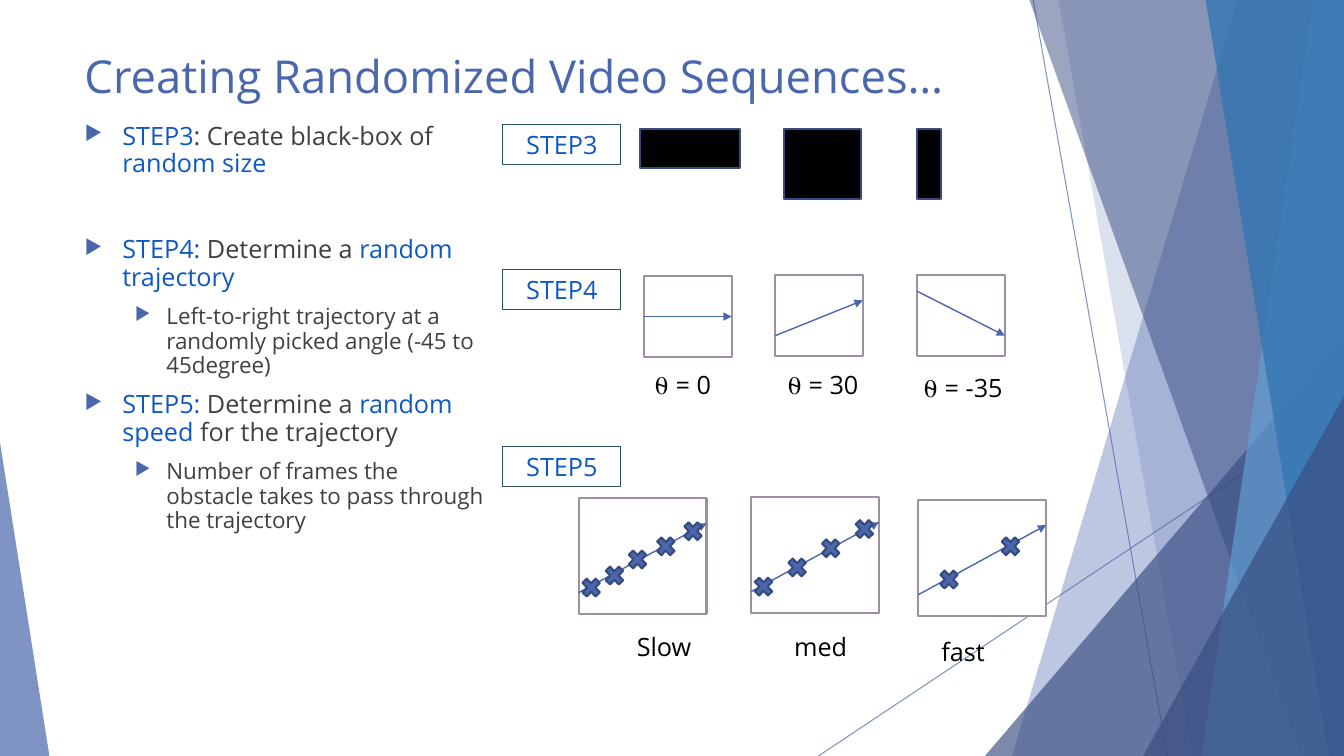
import pptx
import pptx.util
import pptx.dml.color
import pptx.enum.shapes
import pptx.enum.text
import pptx.oxml.ns
import lxml.etree

Pt = pptx.util.Pt
SHAPE = pptx.enum.shapes.MSO_SHAPE
ALIGN = pptx.enum.text.PP_ALIGN
FONT = "Open Sans"
COLORS = {
    "black": "000000", "white": "FFFFFF", "text": "404040", "accent": "0E58C4",
    "blue": "4A66AC", "navy": "384C81", "edge": "374B7F", "sky": "629DD1",
    "ocean": "3477B2", "frame": "9D90A0", "teal": "2B5259",
}
FRAME = (62.6, 57.6)
PANEL = (91.4, 82.8)


def rgb(name):
    return pptx.dml.color.RGBColor.from_string(COLORS[name])


def add_element(parent, tag, **attributes):
    element = lxml.etree.SubElement(parent, pptx.oxml.ns.qn(tag))
    for key, value in attributes.items():
        element.set(key, str(value))
    return element


def set_opacity(fill_parent, percent):
    color = next(fill_parent.iter(pptx.oxml.ns.qn("a:srgbClr")))
    add_element(color, "a:alpha", val=percent * 1000)


def style_shape(shape, fill=None, line=None, weight=1.5, opacity=100):
    shape.shadow.inherit = False
    if fill:
        shape.fill.solid()
        shape.fill.fore_color.rgb = rgb(fill)
        if opacity < 100:
            set_opacity(shape.element.spPr, opacity)
    else:
        shape.fill.background()
    if line:
        shape.line.color.rgb = rgb(line)
        shape.line.width = Pt(weight)
    else:
        shape.line.fill.background()


def add_preset(page, kind, left, top, width, height, **style):
    shape = page.shapes.add_shape(kind, Pt(left), Pt(top), Pt(width), Pt(height))
    style_shape(shape, **style)
    return shape


def add_triangle(page, left, top, width, height, apex, color, opacity):
    triangle = add_preset(page, SHAPE.ISOSCELES_TRIANGLE, left, top, width, height,
                          fill=color, opacity=opacity)
    triangle.adjustments[0] = apex


def add_band(page, top_left, bottom_left, color, opacity):
    builder = page.shapes.build_freeform(Pt(top_left), Pt(-0.6), scale=1)
    corners = [(960, -0.6), (960, 540), (bottom_left, 540)]
    builder.add_line_segments([(Pt(x), Pt(y)) for x, y in corners], close=True)
    style_shape(builder.convert_to_shape(), fill=color, opacity=opacity)


def add_line(page, x1, y1, x2, y2, weight=1, arrow=True, opacity=100):
    line = page.shapes.add_connector(pptx.enum.shapes.MSO_CONNECTOR.STRAIGHT,
                                     Pt(x1), Pt(y1), Pt(x2), Pt(y2))
    line.line.color.rgb = rgb("blue")
    line.line.width = Pt(weight)
    properties = line.element.spPr
    if opacity < 100:
        set_opacity(properties, opacity)
    if arrow:
        add_element(properties.get_or_add_ln(), "a:tailEnd", type="triangle")
    add_element(properties, "a:effectLst")


def add_span(para, text, size, color):
    span = para.add_run()
    span.text = text
    span.font.name = FONT
    span.font.size = Pt(size)
    span.font.color.rgb = rgb(color)


def add_text(page, left, top, width, height, text, size=18, color="black"):
    box = page.shapes.add_textbox(Pt(left), Pt(top), Pt(width), Pt(height))
    box.text_frame.word_wrap = True
    add_span(box.text_frame.paragraphs[0], text, size, color)


def add_step_tag(page, top, text):
    tag = add_preset(page, SHAPE.RECTANGLE, 359.3, top, 84.2, 28.8, line="teal", weight=0.75)
    tag.text_frame.word_wrap = True
    para = tag.text_frame.paragraphs[0]
    para.alignment = ALIGN.CENTER
    add_span(para, text, 18, "accent")


def add_bullet(para, level, space, spans):
    para.level = level
    para.line_spacing = 0.9
    para.space_before = Pt(space)
    margin, indent = [(27, -27), (58.5, -22.5)][level]
    properties = para._p.get_or_add_pPr()
    properties.set("marL", str(Pt(margin)))
    properties.set("indent", str(Pt(indent)))
    add_element(add_element(properties, "a:buClr"), "a:srgbClr", val=COLORS["blue"])
    add_element(properties, "a:buSzPct", val=80000)
    add_element(properties, "a:buChar", char="▶")
    for text, color in spans:
        add_span(para, text, 16 if level else 18, color)


def add_steps(page):
    bullets = [
        (0, 10, [("STEP3", "accent"), (": Create black-box of ", "text"),
                 ("random size", "accent")]),
        (0, 42, [("STEP4: ", "accent"), ("Determine a ", "text"),
                 ("random trajectory", "accent")]),
        (1, 10, [("Left-to-right trajectory at a randomly picked angle (-45 to 45degree)",
                  "text")]),
        (0, 10, [("STEP5: ", "accent"), ("Determine a ", "text"),
                 ("random speed ", "accent"), ("for the trajectory", "text")]),
        (1, 10, [("Number of frames the obstacle takes to pass through the trajectory",
                  "text")]),
    ]
    box = page.shapes.add_textbox(Pt(53.3), Pt(85), Pt(301), Pt(391))
    frame = box.text_frame
    frame.word_wrap = True
    for index, bullet in enumerate(bullets):
        para = frame.add_paragraph() if index else frame.paragraphs[0]
        add_bullet(para, *bullet)


def add_backdrop(page):
    add_line(page, 738, 0, 833.8, 540, 0.75, False, 70)
    add_line(page, 960, 290.2, 584.6, 540, 0.75, False, 70)
    add_band(page, 884.2, 722.9, "blue", 36)
    add_band(page, 756, 851.8, "blue", 20)
    add_triangle(page, 703.5, 240, 256.5, 300, 1, "navy", 66)
    add_band(page, 735.1, 929.5, "navy", 50)
    add_band(page, 938.2, 858.2, "sky", 70)
    add_band(page, 861.1, 949, "ocean", 80)
    add_triangle(page, 816.5, 283, 143.5, 257, 1, "navy", 66)
    add_triangle(page, 0, 316, 35.3, 224, 0, "blue", 70)


def add_arrow_frame(page, left, top, size, start, end):
    add_preset(page, SHAPE.RECTANGLE, left, top, *size, fill="white", line="frame")
    add_line(page, left, top + start, left + size[0], top + end)


def add_speed_panel(page, left, top, marks):
    add_arrow_frame(page, left, top, PANEL, 67.7, 18)
    for x, y in marks:
        add_preset(page, SHAPE.MATH_MULTIPLY, left + x, top + y, 18, 18.7,
                   fill="blue", line="edge")


def main():
    deck = pptx.Presentation()
    deck.slide_width, deck.slide_height = Pt(960), Pt(540)
    page = deck.slides.add_slide(deck.slide_layouts[6])
    add_backdrop(page)
    add_text(page, 53.3, 31, 676.8, 41.8, "Creating Randomized Video Sequences…", 32.4, "blue")
    add_steps(page)
    for left, width, height in [(457.2, 71.3, 28.1), (560.2, 54.7, 49.7), (655.2, 17.3, 49.7)]:
        add_preset(page, SHAPE.RECTANGLE, left, 92.2, width, height, fill="black", line="edge")
    for left, top, start, end in [(460.1, 197.3, 28.8, 28.8), (553.7, 196.6, 43.2, 18),
                                  (655.2, 196.6, 11.5, 43.2)]:
        add_arrow_frame(page, left, top, FRAME, start, end)
    slow = [(0, 54.7), (16.6, 46.1), (33.1, 34.6), (53.3, 25.2), (72.7, 14.4)]
    medium = [(24 * step, 54.7 - 13.7 * step) for step in range(4)]
    fast = [(13, 47.5), (56.9, 23.8)]
    for left, top, marks in [(413.3, 355.7, slow), (536.4, 355, medium), (655.9, 357.1, fast)]:
        add_speed_panel(page, left, top, marks)
    for left, top, text in [(460.1, 260.6, "⍬ = 0"), (555.1, 260.6, "⍬ = 30"),
                            (652.3, 262.1, "⍬ = -35"), (447.8, 447.1, "Slow"),
                            (560.2, 447.1, "med"), (665.3, 450.7, "fast")]:
        add_text(page, left, top, 79.2, 28.8, text)
    for top, text in [(88.6, "STEP3"), (192.2, "STEP4"), (319, "STEP5")]:
        add_step_tag(page, top, text)
    deck.save("out.pptx")


if __name__ == "__main__":
    main()
